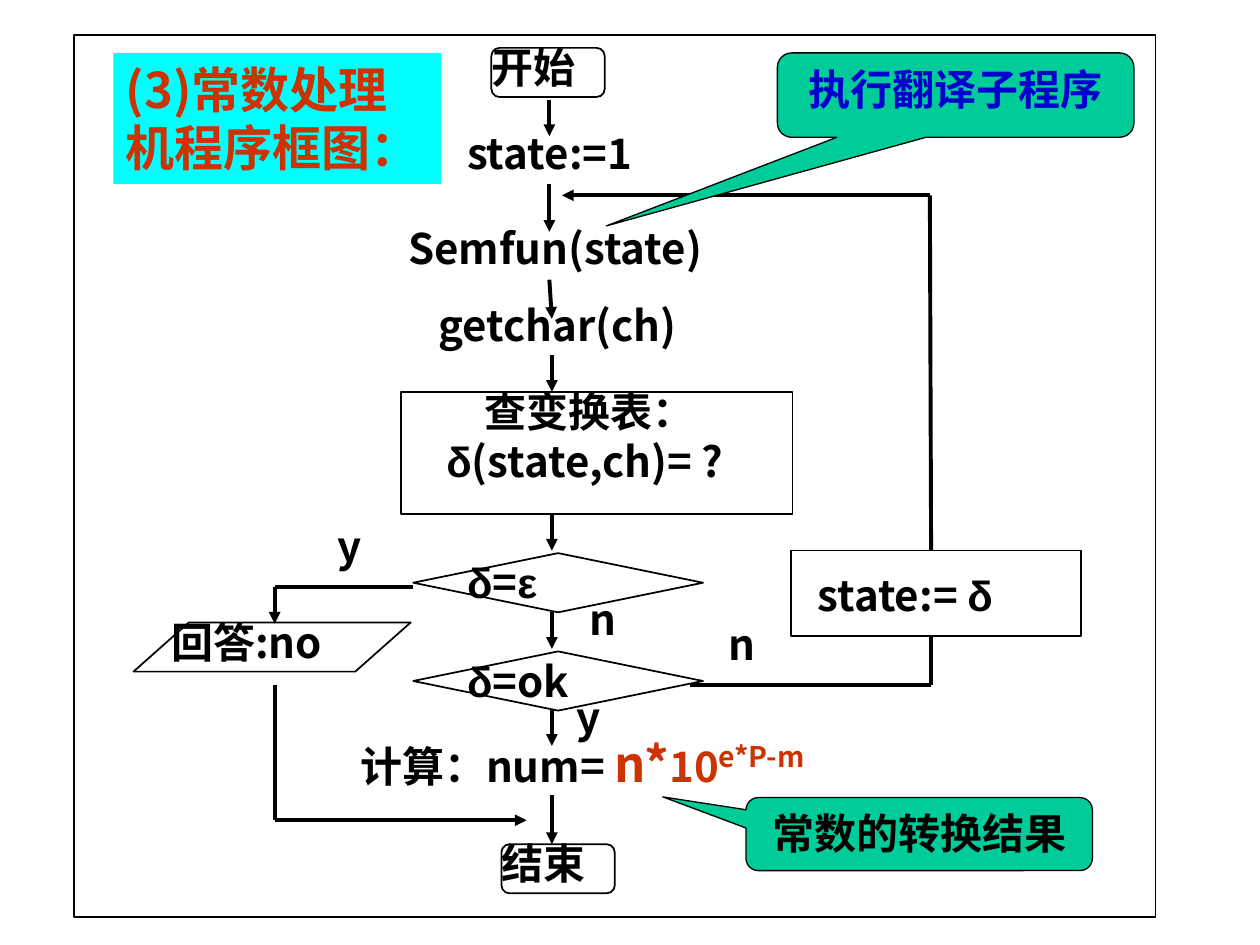
"""Flowchart of the constant-processing machine on a grid of 100 columns by 75 rows."""
from itertools import pairwise

from lxml import etree
from pptx import Presentation, util as u
from pptx.dml.color import RGBColor
from pptx.enum import shapes, text
from pptx.oxml import ns

BLACK, RUST, BLUE, GREEN, CYAN, WHITE = "000000", "CC3300", "0000CC", "00CC99", "00FFFF", "FFFFFF"
SANS, GREEK = "Noto Sans CJK SC", "Arial"
KIND = shapes.MSO_SHAPE

deck = Presentation()
deck.slide_width, deck.slide_height = u.Inches(10), u.Inches(7.5)
slide = deck.slides.add_slide(deck.slide_layouts[6])
cell = deck.slide_width / 100


def write(frame, pieces, align=text.PP_ALIGN.LEFT):
    """Fill a frame with (words, size, colour, superscript) pieces."""
    frame.word_wrap = True
    frame.vertical_anchor = text.MSO_ANCHOR.TOP
    paragraph = frame.paragraphs[0]
    paragraph.alignment = align
    for words, size, colour, raised in pieces:
        run = paragraph.add_run()
        run.text = words
        run.font.size, run.font.bold = u.Pt(size), True
        run.font.color.rgb = RGBColor.from_string(colour)
        run.font.name = GREEK if words in ("δ", "ε") else SANS
        properties = run._r.get_or_add_rPr()
        etree.SubElement(properties, ns.qn("a:ea"), typeface=SANS)
        if raised:
            properties.set("baseline", "30000")


def block(kind, area, fill=None, weight=1):
    """Draw a preset shape on the grid."""
    shape = slide.shapes.add_shape(kind, *(round(n * cell) for n in area))
    shape.shadow.inherit = False
    if fill:
        shape.fill.solid()
        shape.fill.fore_color.rgb = RGBColor.from_string(fill)
    else:
        shape.fill.background()
    if weight:
        shape.line.color.rgb = RGBColor.from_string(BLACK)
        shape.line.width = u.Pt(weight)
    else:
        shape.line.fill.background()
    return shape


block(KIND.RECTANGLE, (5.9, 2.8, 85.8, 70), WHITE)

steps = [
    (KIND.FLOWCHART_ALTERNATE_PROCESS, (39, 3.8, 9, 3.9)),
    (KIND.FLOWCHART_ALTERNATE_PROCESS, (39.8, 67, 9, 3.9)),
    (KIND.RECTANGLE, (31.8, 31.1, 31.1, 9.7)),
    (KIND.RECTANGLE, (62.8, 43.7, 23, 6.8)),
    (KIND.FLOWCHART_DECISION, (32.8, 43.9, 23, 4.7)),
    (KIND.FLOWCHART_DECISION, (32.8, 51.7, 23, 4.7)),
    (KIND.FLOWCHART_DATA, (10.6, 49.4, 22, 3.9)),
]
for kind, area in steps:
    block(kind, area)

axis, answer, loop = 43.8, 21.8, 73.9
routes = [
    ([(43.6, 7.9), (43.6, 10.8)], True),
    ([(43.6, 14.6), (43.6, 18.4)], True),
    ([(43.6, 22.2), (axis, 25.3)], True),
    *[([(axis, top), (axis, top + 2.9)], True) for top in (28.2, 40.8, 48.6, 56.3)],
    ([(axis, 63.1), (axis, 67)], True),
    ([(32.8, 46.6), (answer, 46.6), (answer, 49.5)], True),
    ([(answer, 54.4), (answer, 65.1), (41.8, 65.1)], True),
    ([(54.8, 54.4), (loop, 54.4), (loop, 50.5)], False),
    ([(loop, 43.7), (73.8, 15.5), (44.6, 15.5)], True),
]
for points, arrow in routes:
    for start, end in pairwise(points):
        link = slide.shapes.add_connector(
            shapes.MSO_CONNECTOR.STRAIGHT, *(round(n * cell) for n in start + end))
        link.line.color.rgb = RGBColor.from_string(BLACK)
        link.line.width = u.Pt(2.25)
        if arrow and end == points[-1]:
            etree.SubElement(link.line._get_or_add_ln(), ns.qn("a:tailEnd"), type="triangle")
        etree.SubElement(link._element.spPr, ns.qn("a:effectLst"))

labels = [
    (38, 2.8, 12, ["开始"]),
    (38.8, 66, 12, ["结束"]),
    (36.1, 9.6, 19, ["state:=1"]),
    (31.4, 17.2, 31.1, ["Semfun(state)"]),
    (33.8, 23.3, 25.1, ["getchar(ch)"]),
    (36.1, 43.7, 16.3, ["δ", "=", "ε"]),
    (36.1, 51.5, 16.3, ["δ", "=ok"]),
    (12.6, 48.4, 20, ["回答:no"]),
    (63.9, 44.7, 22, ["state:= ", "δ"]),
    (25.8, 40.8, 5, ["y"]),
    (45.8, 46.6, 6, ["n"]),
    (44.8, 54.4, 5, ["y"]),
    (56.8, 48.6, 6, ["n"]),
]
for left, top, width, words in labels:
    label = slide.shapes.add_textbox(*(round(n * cell) for n in (left, top, width, 5)))
    write(label.text_frame, [(word, 24, BLACK, False) for word in words])

lookup = slide.shapes.add_textbox(*(round(n * cell) for n in (31.8, 30.1, 30, 9)))
write(lookup.text_frame,
      [(word, 24, BLACK, False) for word in ("查变换表： ", "δ", "(state,ch)= ? ")],
      text.PP_ALIGN.CENTER)

formula = slide.shapes.add_textbox(*(round(n * cell) for n in (27.6, 57.7, 40.6, 5.7)))
write(formula.text_frame, [("计算：num= ", 24, BLACK, False), ("n*", 28, RUST, False),
                           ("10", 24, RUST, False), ("e*P-m", 28, RUST, True)])

callouts = [
    ((61.7, 4.2, 28.3, 6.7), (-0.98, 1.55, 0.17), "执行翻译子程序", BLUE),
    ((59.2, 63.3, 27.5, 5.8), (-0.74, -0.51, 0.17), "常数的转换结果", BLACK),
]
for area, pointer, words, colour in callouts:
    callout = block(KIND.ROUNDED_RECTANGULAR_CALLOUT, area, GREEN, 0.75)
    for index, share in enumerate(pointer):
        callout.adjustments[index] = share
    write(callout.text_frame, [(words, 24, colour, False)], text.PP_ALIGN.CENTER)

heading = block(KIND.RECTANGLE, (9, 4.2, 26, 10.4), CYAN, 0)
write(heading.text_frame, [("(3)常数处理机程序框图：", 28, RUST, False)])

deck.save("out.pptx")
